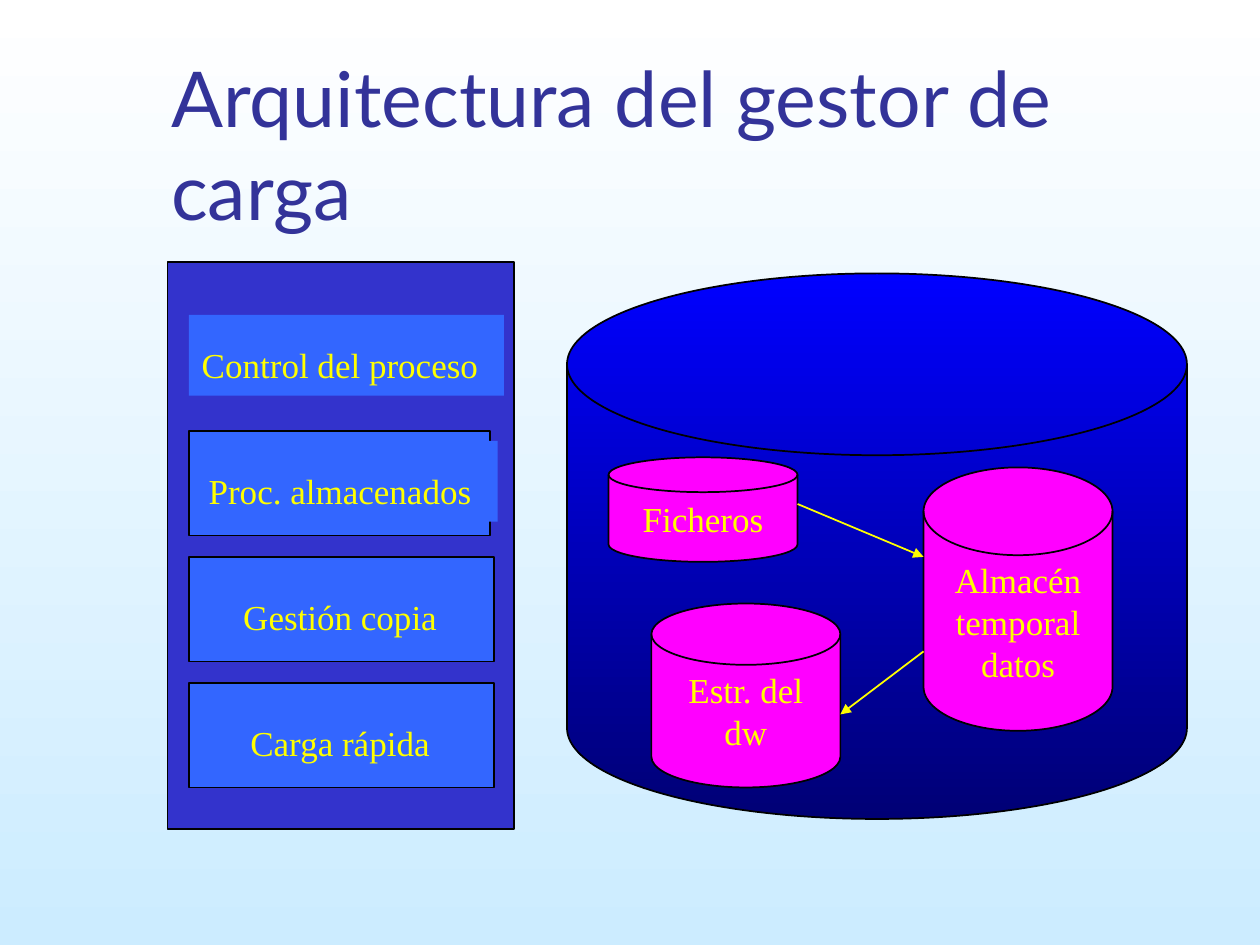
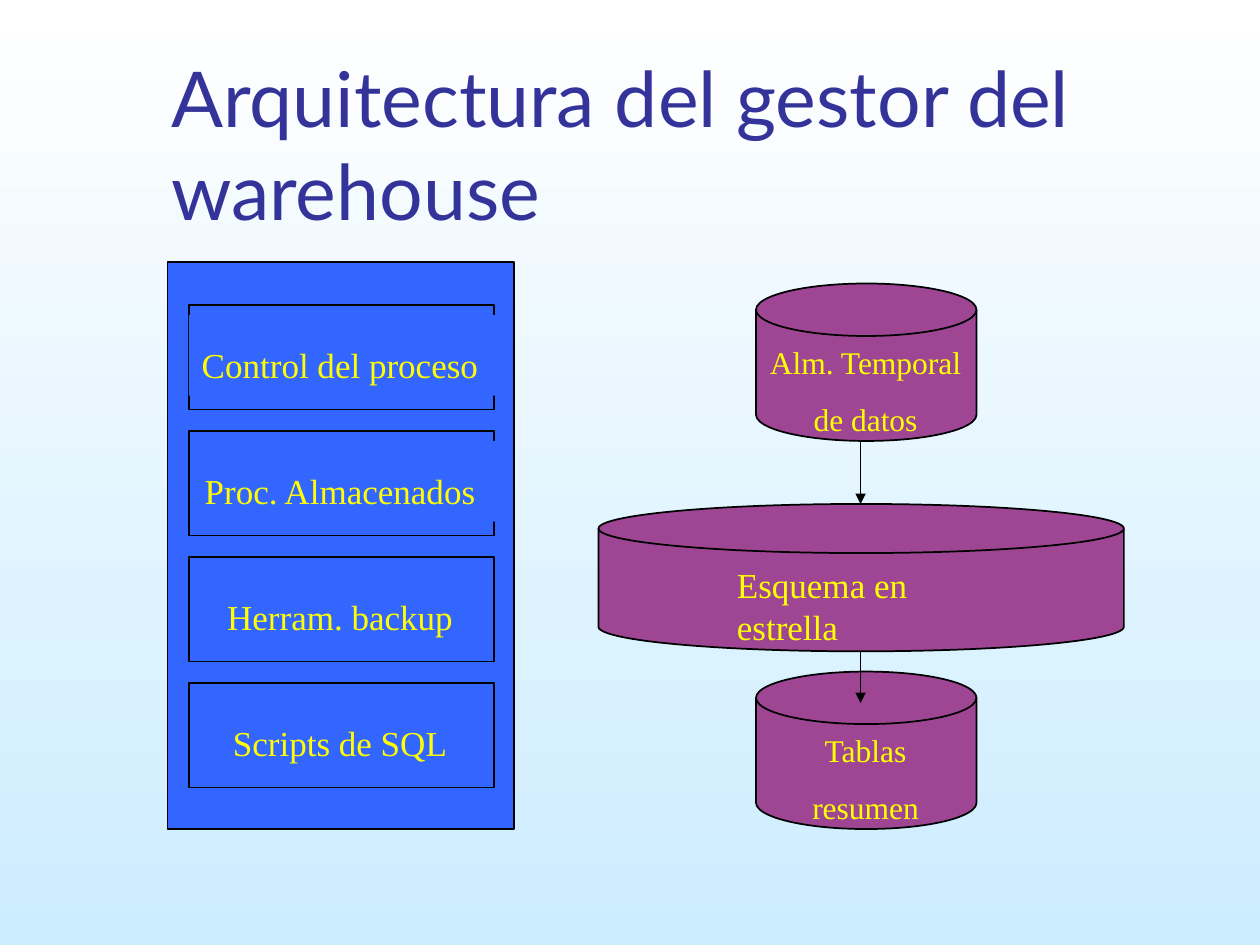
from lxml import etree
from pptx import Presentation
from pptx.dml.color import RGBColor
from pptx.enum.shapes import MSO_CONNECTOR, MSO_SHAPE
from pptx.enum.text import MSO_ANCHOR, PP_ALIGN
from pptx.oxml.ns import qn
from pptx.util import Inches, Pt

RECTANGLE = MSO_SHAPE.RECTANGLE
DISK = MSO_SHAPE.FLOWCHART_MAGNETIC_DISK
STRAIGHT = MSO_CONNECTOR.STRAIGHT
LEFT, CENTER = PP_ALIGN.LEFT, PP_ALIGN.CENTER
TOP, MIDDLE, BOTTOM = MSO_ANCHOR.TOP, MSO_ANCHOR.MIDDLE, MSO_ANCHOR.BOTTOM

COLORS = {
    "sky_top": "FFFFFF", "sky_bottom": "CCECFF", "title": "333399",
    "outline": "000000", "text": "FFFF00", "panel": "3333CC",
    "module": "3366FF", "store": "FF00FF", "plum": "9E4694",
    "disk_top": "0000FF", "disk_bottom": "000075",
}
TITLE_FONT, BODY_FONT = "Lato", "Times New Roman"

MODULE_LEFT, MODULE_TOP, MODULE_STEP = 1.5, 2.42, 1
LABEL_CENTER = 2.75


def color(name):
    return RGBColor.from_string(COLORS[name])


def fill_gradient(fill, top, bottom):
    """Fill from the top colour down to the bottom colour."""
    fill.gradient()
    fill.gradient_angle = 270
    for stop, name in zip(fill.gradient_stops, (top, bottom)):
        stop.color.rgb = color(name)


def write(shape, text, *, size=20, font=BODY_FONT, ink="text", align=CENTER,
          anchor=MIDDLE, wrap=True, before=0, right=0.1, bottom=0.05):
    """Put one paragraph per line of text into the shape."""
    frame = shape.text_frame
    frame.word_wrap = wrap
    frame.vertical_anchor = anchor
    frame.margin_left, frame.margin_right = Inches(0.1), Inches(right)
    frame.margin_top, frame.margin_bottom = Inches(0.05), Inches(bottom)
    for number, line in enumerate(text.split("\n")):
        paragraph = frame.add_paragraph() if number else frame.paragraphs[0]
        paragraph.alignment = align
        paragraph.space_before = Pt(before)
        run = paragraph.add_run()
        run.text = line
        run.font.size, run.font.name = Pt(size), font
        run.font.color.rgb = color(ink)


class Deck:
    def __init__(self):
        self.prs = Presentation()
        self.prs.slide_width, self.prs.slide_height = Inches(10), Inches(7.5)
        fill_gradient(self.prs.slide_master.background.fill,
                      "sky_top", "sky_bottom")
        self.slide = None

    def start_slide(self, title):
        self.slide = self.prs.slides.add_slide(self.prs.slide_layouts[6])
        self.caption(title, 1.26, 0.67, 8.52, 1.25, size=44, font=TITLE_FONT,
                     ink="title", align=LEFT, anchor=BOTTOM)

    def caption(self, text, x, y, w, h, **style):
        box = self.slide.shapes.add_textbox(
            Inches(x), Inches(y), Inches(w), Inches(h))
        write(box, text, **style)

    def block(self, kind, x, y, w, h, fill, outlined=True):
        shape = self.slide.shapes.add_shape(
            kind, Inches(x), Inches(y), Inches(w), Inches(h))
        shape.shadow.inherit = False
        if isinstance(fill, tuple):
            fill_gradient(shape.fill, *fill)
        else:
            shape.fill.solid()
            shape.fill.fore_color.rgb = color(fill)
        if outlined:
            shape.line.color.rgb = color("outline")
            shape.line.width = Pt(1)
        else:
            shape.line.fill.background()
        return shape

    def disk(self, x, y, w, h, fill, text=""):
        shape = self.block(DISK, x, y, w, h, fill)
        if text:
            write(shape, text, before=12.5)

    def arrow(self, start, end, ink):
        connector = self.slide.shapes.add_connector(
            STRAIGHT, *(Inches(value) for value in (*start, *end)))
        connector.line.color.rgb = color(ink)
        connector.line.width = Pt(1)
        outline = connector.line._get_or_add_ln()
        etree.SubElement(outline, qn("a:tailEnd"), type="triangle")
        etree.SubElement(connector._element.spPr, qn("a:effectLst"))

    def module_panel(self, fill, modules):
        """Stack modules, each (label, label width, frame width or 0)."""
        self.block(RECTANGLE, 1.33, 2.08, 2.75, 4.5, fill)
        for row, (label, label_width, frame_width) in enumerate(modules):
            top = MODULE_TOP + row * MODULE_STEP
            if frame_width:
                self.block(RECTANGLE, MODULE_LEFT, top, frame_width, 0.83,
                           "module")
            plate = self.block(
                RECTANGLE, LABEL_CENTER - label_width / 2, top + 0.08,
                label_width, 0.64, "module", outlined=False)
            write(plate, label, anchor=BOTTOM, wrap=False,
                  right=0.2, bottom=0.08)


def build_load_manager(deck):
    deck.start_slide("Arquitectura del gestor de carga")
    deck.disk(4.5, 2.17, 4.92, 4.33, ("disk_top", "disk_bottom"))
    deck.module_panel("panel", [
        ("Control del proceso", 2.5, 0),
        ("Proc. almacenados", 2.4, 2.39),
        ("Gestión copia", 1.85, 2.42),
        ("Carga rápida", 1.74, 2.42),
    ])
    for text, x, y, height in [
        ("Ficheros", 4.83, 3.63, 0.83),
        ("Almacén temporal datos", 7.33, 3.71, 2.09),
        ("Estr. del dw", 5.17, 4.79, 1.46),
    ]:
        deck.disk(x, y, 1.5, height, "store", text)
    deck.arrow((6.33, 4), (7.33, 4.42), "text")
    deck.arrow((7.33, 5.17), (6.67, 5.67), "text")


def build_warehouse_manager(deck):
    deck.start_slide("Arquitectura del gestor del warehouse")
    deck.module_panel("module", [
        ("Control del proceso", 2.5, 2.42),
        ("Proc. Almacenados", 2.47, 2.42),
        ("Herram. backup", 2.1, 2.42),
        ("Scripts de SQL", 2.01, 2.42),
    ])
    deck.disk(4.75, 4, 4.17, 1.17, "plum")
    deck.caption("Esquema en estrella", 5.75, 4.42, 2.42, 0.44,
                 align=LEFT, anchor=TOP, wrap=False, before=12.5)
    for text, top in [("Alm. Temporal\nde datos", 2.25),
                      ("Tablas\nresumen", 5.33)]:
        deck.disk(6, top, 1.75, 1.25, "plum")
        deck.caption(text, 6, top + 0.42, 1.74, 0.86, size=18,
                     anchor=TOP, wrap=False, before=11.2)
    for start, end in [(3.5, 4), (5.17, 5.58)]:
        deck.arrow((6.83, start), (6.83, end), "outline")


def main():
    deck = Deck()
    build_load_manager(deck)
    build_warehouse_manager(deck)
    deck.prs.save("out.pptx")


if __name__ == "__main__":
    main()
